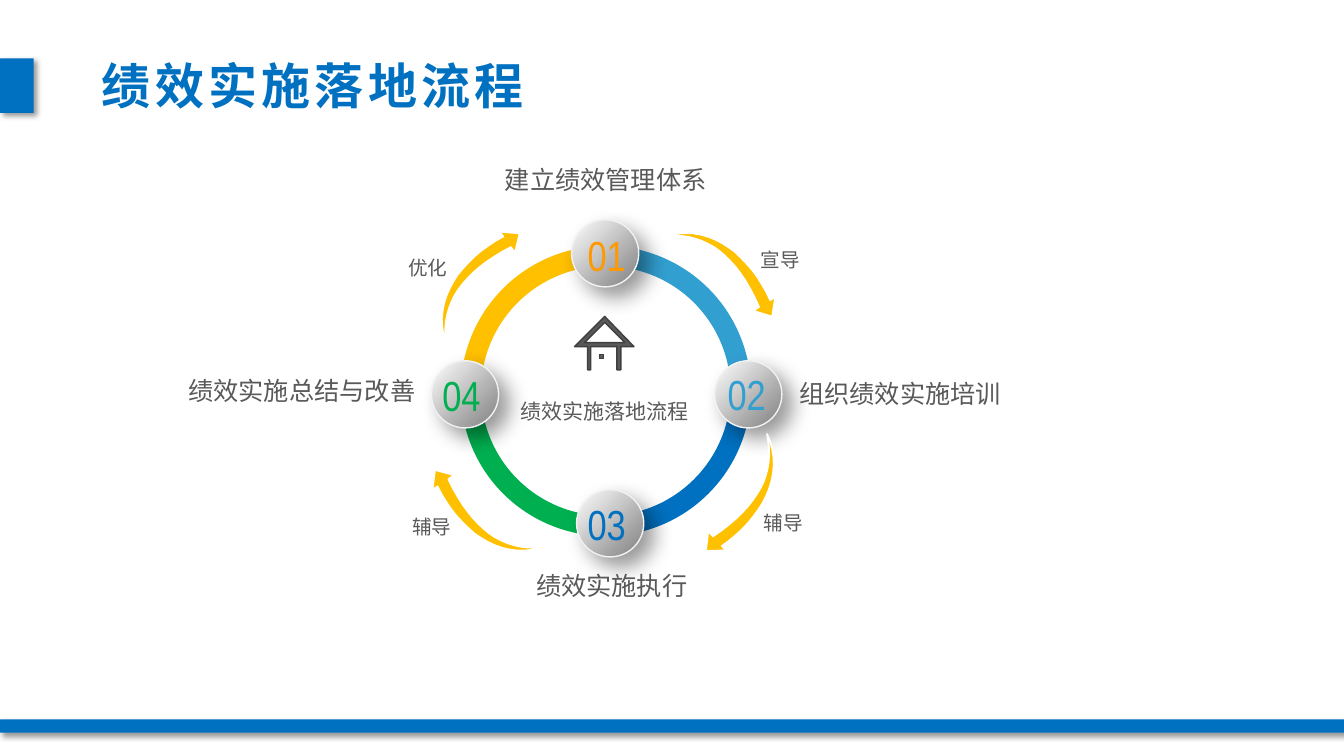
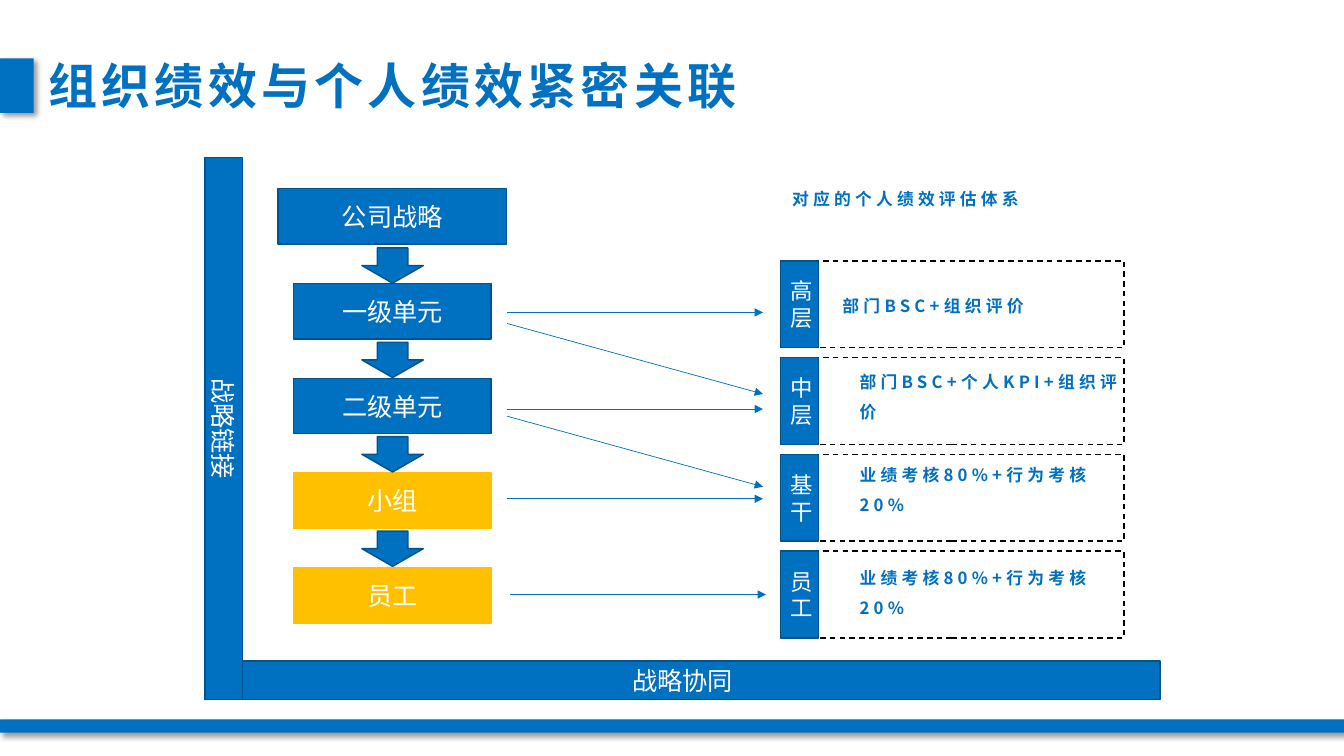
"""Build two slides: a performance process ring and a chart linking team and personal goals."""
from lxml.etree import SubElement
from pptx import Presentation
from pptx.dml.color import RGBColor
from pptx.enum.dml import MSO_LINE
from pptx.enum.shapes import MSO_CONNECTOR, MSO_SHAPE
from pptx.enum.text import MSO_ANCHOR, MSO_AUTO_SIZE, PP_ALIGN
from pptx.oxml.ns import qn
from pptx.util import Inches, Pt

COLORS = {
    "blue": "0070C0", "edge": "00538E", "sky": "329FD1", "amber": "FFC000",
    "orange": "FF9900", "green": "00B050", "text": "595959", "dark": "404040",
    "gray": "808080", "rim": "F2F2F2", "white": "FFFFFF", "black": "000000",
}
PALETTE = {name: RGBColor.from_string(value) for name, value in COLORS.items()}
CJK_FONT = "Noto Sans CJK SC"

presentation = Presentation()
presentation.slide_width = Inches(13.33)
presentation.slide_height = Inches(7.5)
CELL = presentation.slide_width / 40


def write(shape, text, size=18, color="text", font=CJK_FONT, bold=False, tracking=0,
          align=PP_ALIGN.LEFT, anchor=MSO_ANCHOR.TOP, leading=None, wrap=True):
    """Put one formatted paragraph into a shape."""
    frame = shape.text_frame
    frame.text = text
    frame.word_wrap = wrap
    frame.auto_size = MSO_AUTO_SIZE.NONE
    frame.vertical_anchor = anchor
    paragraph = frame.paragraphs[0]
    paragraph.alignment = align
    paragraph.line_spacing = leading
    run = paragraph.runs[0]
    run.font.size = Pt(size)
    run.font.bold = bold
    run.font.color.rgb = PALETTE[color]
    run.font.name = font
    properties = run._r.get_or_add_rPr()
    properties.set("spc", str(tracking * 100))
    SubElement(properties, qn("a:ea"), typeface=CJK_FONT)


def place(slide, preset, area, fill=None, line=None, shadow=None):
    """Add a preset shape, or a text box without one, at grid cells."""
    box = [int(CELL * value) for value in area]
    if preset is None:
        return slide.shapes.add_textbox(*box)
    shape = slide.shapes.add_shape(preset, *box)
    shape.shadow.inherit = False
    if fill:
        shape.fill.solid()
        shape.fill.fore_color.rgb = PALETTE[fill]
    if line:
        shape.line.color.rgb = PALETTE[line]
        shape.line.width = Pt(1)
    else:
        shape.line.fill.background()
    if shadow:
        blur, distance = shadow
        effects = shape._element.spPr.find(qn("a:effectLst"))
        outer = SubElement(effects, qn("a:outerShdw"), blurRad=str(Pt(blur)), dist=str(Pt(distance)),
                           dir="2700000", algn="tl", rotWithShape="0")
        color = SubElement(outer, qn("a:srgbClr"), val=COLORS["black"])
        SubElement(color, qn("a:alpha"), val="40000")
    return shape


slides = []
for heading, left, width in [("绩效实施落地流程", 2.61, 13.41), ("组织绩效与个人绩效紧密关联", 0.99, 21.39)]:
    slide = presentation.slides.add_slide(presentation.slide_layouts[5])
    for area in [(0, 21.42, 40, 0.39), (0, 1.74, 1, 1.62)]:
        place(slide, MSO_SHAPE.RECTANGLE, area, "blue", shadow=(4, 3))
    title = slide.shapes.title
    title.left, title.top, title.width, title.height = [
        int(CELL * value) for value in (left, 1.5, width, 2.07)]
    write(title, heading, size=35, color="blue", font="Lato", bold=True, tracking=3,
          align=PP_ALIGN.CENTER, wrap=False)
    slides.append(slide)
process, alignment = slides

for quarter, color in enumerate(["blue", "green", "amber", "sky"]):
    arc = place(process, MSO_SHAPE.BLOCK_ARC, (13.71, 7.32, 8.64, 8.64), color)
    arc.adjustments[0] = quarter * 54
    arc.adjustments[1] = (quarter + 1) % 4 * 54
    arc.adjustments[2] = 0.07

steps = [
    ("01", "orange", 17.01, 6.54, 17.19, 6.69),
    ("02", "sky", 21.27, 10.74, 21.36, 10.83),
    ("03", "blue", 17.16, 14.58, 17.19, 14.7),
    ("04", "green", 12.84, 10.74, 12.87, 10.86),
]
for number, color, left, top, text_left, text_top in steps:
    disc = place(process, MSO_SHAPE.OVAL, (left, top, 2, 2), line="rim", shadow=(15, 10))
    disc.fill.gradient()
    disc.fill.gradient_angle = 315
    for stop, position, shade in zip(disc.fill.gradient_stops, (0, 1), ("white", "gray")):
        stop.position = position
        stop.color.rgb = PALETTE[shade]
    write(place(process, None, (text_left, text_top, 1.95, 1.83)), number,
          size=30, color=color, font="Arial Narrow")

labels = [
    ("建立绩效管理体系", 18, 14.73, 5.01, 7.35),
    ("组织绩效实施培训", 18, 23.49, 11.4, 7.35),
    ("绩效实施执行", 18, 15.66, 17.1, 7.35),
    ("绩效实施总结与改善", 18, 5.31, 11.31, 8.04),
    ("绩效实施落地流程", 15, 15.21, 11.85, 5.85),
    ("宣导", 14, 22.35, 7.32, 2),
    ("辅导", 14, 22.44, 15.15, 2),
    ("辅导", 14, 11.97, 15.27, 2),
    ("优化", 14, 11.85, 7.56, 2),
]
for text, size, left, top, width in labels:
    write(place(process, None, (left, top, width, 0.96)), text, size=size, leading=Pt(15))

house = [
    [(18, 9.42), (17.1, 10.32), (17.49, 10.32), (17.49, 11.01), (17.58, 11.01), (17.58, 10.32),
     (18.36, 10.32), (18.36, 11.01), (18.48, 11.01), (18.48, 10.32), (18.87, 10.32)],
    [(17.4, 10.2), (18, 9.6), (18.6, 10.2)],
    [(17.85, 10.56), (17.97, 10.56), (17.97, 10.68), (17.85, 10.68)],
]
swoosh = [(1.74, 3.24)]
for curve in [[(1.56, 3.24), (1.74, 1.83), (1.32, 0.42), (0, 0)],
              [(0, 0), (1.02, 0.6), (1.41, 1.59), (1.17, 3.24)]]:
    for step in range(17):
        t = step / 16
        weights = [(1 - t) ** 3, 3 * t * (1 - t) ** 2, 3 * t * t * (1 - t), t ** 3]
        swoosh.append(tuple(sum(weight * point[axis] for weight, point in zip(weights, curve))
                            for axis in (0, 1)))
swoosh += [(0.96, 3.24), (1.35, 3.69)]

outlines = [(house, 0, 0, 0, "text", "dark", 1)]
for left, top, rotation in [(21.18, 12.96, 47.7), (13.5, 13.41, 146.2),
                            (13.38, 6.57, 234.2), (20.73, 6.27, 328.1)]:
    outlines.append(([swoosh], left, top, rotation, "amber", "white", 1.25))
for contours, left, top, rotation, fill, line, width in outlines:
    scaled = [[(x * 100, y * 100) for x, y in contour] for contour in contours]
    builder = process.shapes.build_freeform(*scaled[0][0], scale=CELL / 100)
    builder.add_line_segments(scaled[0][1:])
    for contour in scaled[1:]:
        builder.move_to(*contour[0])
        builder.add_line_segments(contour[1:])
    outline = builder.convert_to_shape(int(left * CELL), int(top * CELL))
    outline.rotation = rotation
    outline.shadow.inherit = False
    outline.fill.solid()
    outline.fill.fore_color.rgb = PALETTE[fill]
    outline.line.color.rgb = PALETTE[line]
    outline.line.width = Pt(width)

centered = {"color": "white", "align": PP_ALIGN.CENTER, "anchor": MSO_ANCHOR.MIDDLE}
for text, area, rotation in [("战略协同", (6.09, 19.68, 28.44, 1.14), 0),
                             ("战略链接", (-1.41, 12.21, 16.14, 1.11), 90)]:
    bar = place(alignment, MSO_SHAPE.RECTANGLE, area, "blue", "edge")
    bar.rotation = rotation
    write(bar, text, **centered)

units = [
    ("公司战略", 6.81, "blue", "edge"),
    ("一级单元", 5.88, "blue", "edge"),
    ("二级单元", 5.88, "blue", "edge"),
    ("小组", 5.88, "amber", "amber"),
    ("员工", 5.88, "amber", "amber"),
]
for row, (text, width, fill, line) in enumerate(units):
    area = (11.68 - width / 2, 5.62 + 2.82 * row, width, 1.65)
    write(place(alignment, MSO_SHAPE.RECTANGLE, area, fill, line), text, font="Calibri", **centered)
for row in range(len(units) - 1):
    place(alignment, MSO_SHAPE.DOWN_ARROW, (10.77, 7.38 + 2.81 * row, 1.83, 1.05), "blue", "edge")

note_format = {"size": 12, "color": "blue", "bold": True, "tracking": 3, "leading": 1.5}
write(place(alignment, None, (23.28, 5.16, 10.14, 1.38)), "对应的个人绩效评估体系", **note_format)
levels = [
    ("高层", "部门BSC+组织评价", 24.78, 8.37, 8.61),
    ("中层", "部门BSC+个人KPI+组织评价", 25.29, 10.62, 8.61),
    ("基干", "业绩考核80%+行为考核20%", 25.29, 13.38, 7.53),
    ("员工", "业绩考核80%+行为考核20%", 25.29, 16.44, 7.53),
]
for row, (level, note, left, top, width) in enumerate(levels):
    level_top = 7.77 + 2.88 * row
    frame = place(alignment, MSO_SHAPE.RECTANGLE, (23.22, level_top, 10.23, 2.58), "white", "black")
    frame.line.dash_style = MSO_LINE.DASH
    tab = place(alignment, MSO_SHAPE.RECTANGLE, (23.22, level_top, 1.14, 2.58), "blue", "edge")
    write(tab, level, size=16, font="Calibri", **centered)
    write(place(alignment, None, (left, top, width, 2.52)), note, **note_format)

links = [(15.09, 9.3, 9.3), (15.09, 9.63, 11.73), (15.09, 12.18, 12.18),
         (15.09, 12.39, 14.49), (15.09, 14.85, 14.85), (15.18, 17.7, 17.7)]
for left, start, end in links:
    ends = [int(CELL * value) for value in (left, start, left + 7.62, end)]
    connector = alignment.shapes.add_connector(MSO_CONNECTOR.STRAIGHT, *ends)
    connector.line.color.rgb = PALETTE["blue"]
    connector.line.width = Pt(0.5)
    SubElement(connector.line._get_or_add_ln(), qn("a:tailEnd"), type="triangle")
    SubElement(connector._element.spPr, qn("a:effectLst"))

presentation.save("out.pptx")
